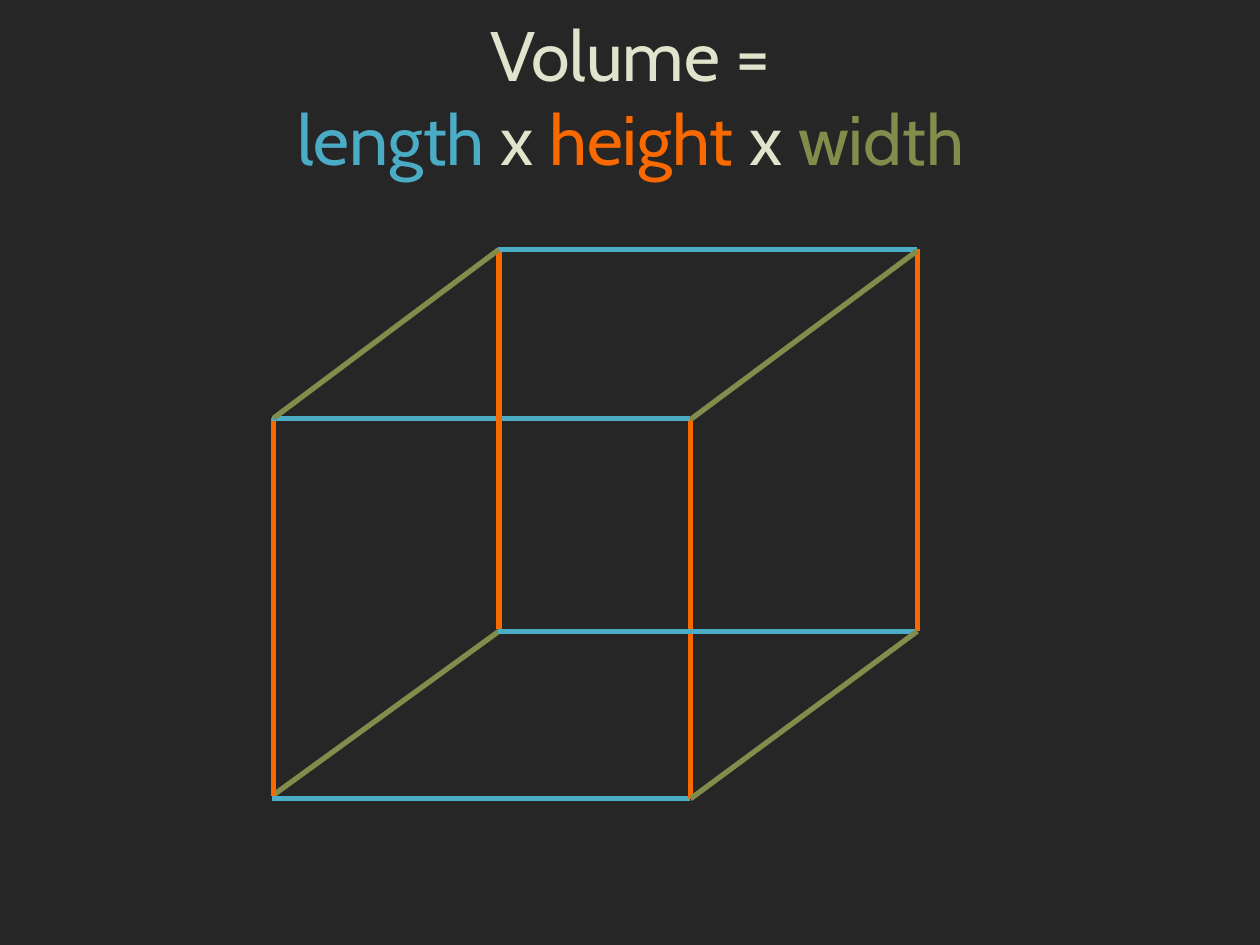
import pptx
import pptx.dml.color
import pptx.enum.shapes
import pptx.enum.text
import pptx.oxml
import pptx.util

Inches = pptx.util.Inches

CREAM = "E0E4CC"
LENGTH = "4BACC6"
HEIGHT = "FA6900"
WIDTH = "828D4B"


def paint(color_format, value):
    color_format.rgb = pptx.dml.color.RGBColor.from_string(value)


def add_text(paragraph, text, color=CREAM, size=40, font="Cabin"):
    run = paragraph.add_run()
    run.text = text
    run.font.size = pptx.util.Pt(size)
    run.font.name = font
    paint(run.font.color, color)


presentation = pptx.Presentation()
presentation.slide_width = Inches(10)
presentation.slide_height = Inches(7.5)
slide = presentation.slides.add_slide(presentation.slide_layouts[5])
slide.background.fill.solid()
paint(slide.background.fill.fore_color, "262626")

front_left, front_right, front_top, front_bottom = 2.17, 5.48, 3.32, 6.34
back_left, back_right, back_top, back_bottom = 3.96, 7.28, 1.98, 5.01

edges = [(back_left, back_bottom, front_left, front_bottom - 0.03, WIDTH)]
for left, right, top, bottom in (
    (front_left, front_right, front_top, front_bottom),
    (back_left, back_right, back_top, back_bottom),
):
    edges += [
        (left, top, left, bottom - 0.02, HEIGHT),
        (right, bottom, left - 0.01, bottom, LENGTH),
        (right, bottom, right, top, HEIGHT),
        (left - 0.01, top, right, top, LENGTH),
    ]
edges += [
    (back_right, back_bottom, front_right, front_bottom, WIDTH),
    (back_left, back_top, front_left, front_top, WIDTH),
    (back_right, back_top + 0.01, front_right, front_top + 0.01, WIDTH),
]

for start_x, start_y, end_x, end_y, color in edges:
    edge = slide.shapes.add_connector(
        pptx.enum.shapes.MSO_CONNECTOR.STRAIGHT,
        Inches(start_x), Inches(start_y), Inches(end_x), Inches(end_y),
    )
    edge.line.width = pptx.util.Pt(3)
    paint(edge.line.color, color)
    edge.element.spPr.append(pptx.oxml.parse_xml(
        '<a:effectLst xmlns:a="http://schemas.openxmlformats.org/drawingml/2006/main"/>'
    ))

formula = slide.shapes.title
formula.left, formula.top = Inches(1.91), Inches(0.04)
formula.width, formula.height = Inches(6.19), Inches(1.43)
frame = formula.text_frame
frame.word_wrap = False
frame.auto_size = pptx.enum.text.MSO_AUTO_SIZE.SHAPE_TO_FIT_TEXT
frame.vertical_anchor = pptx.enum.text.MSO_ANCHOR.TOP

formula_lines = [
    [("Volume =", CREAM)],
    [("length", LENGTH), (" x ", CREAM), ("height", HEIGHT), (" x ", CREAM), ("width", WIDTH)],
]
for index, terms in enumerate(formula_lines):
    paragraph = frame.add_paragraph() if index else frame.paragraphs[0]
    paragraph.alignment = pptx.enum.text.PP_ALIGN.CENTER
    for text, color in terms:
        add_text(paragraph, text, color=color)

presentation.save("out.pptx")
